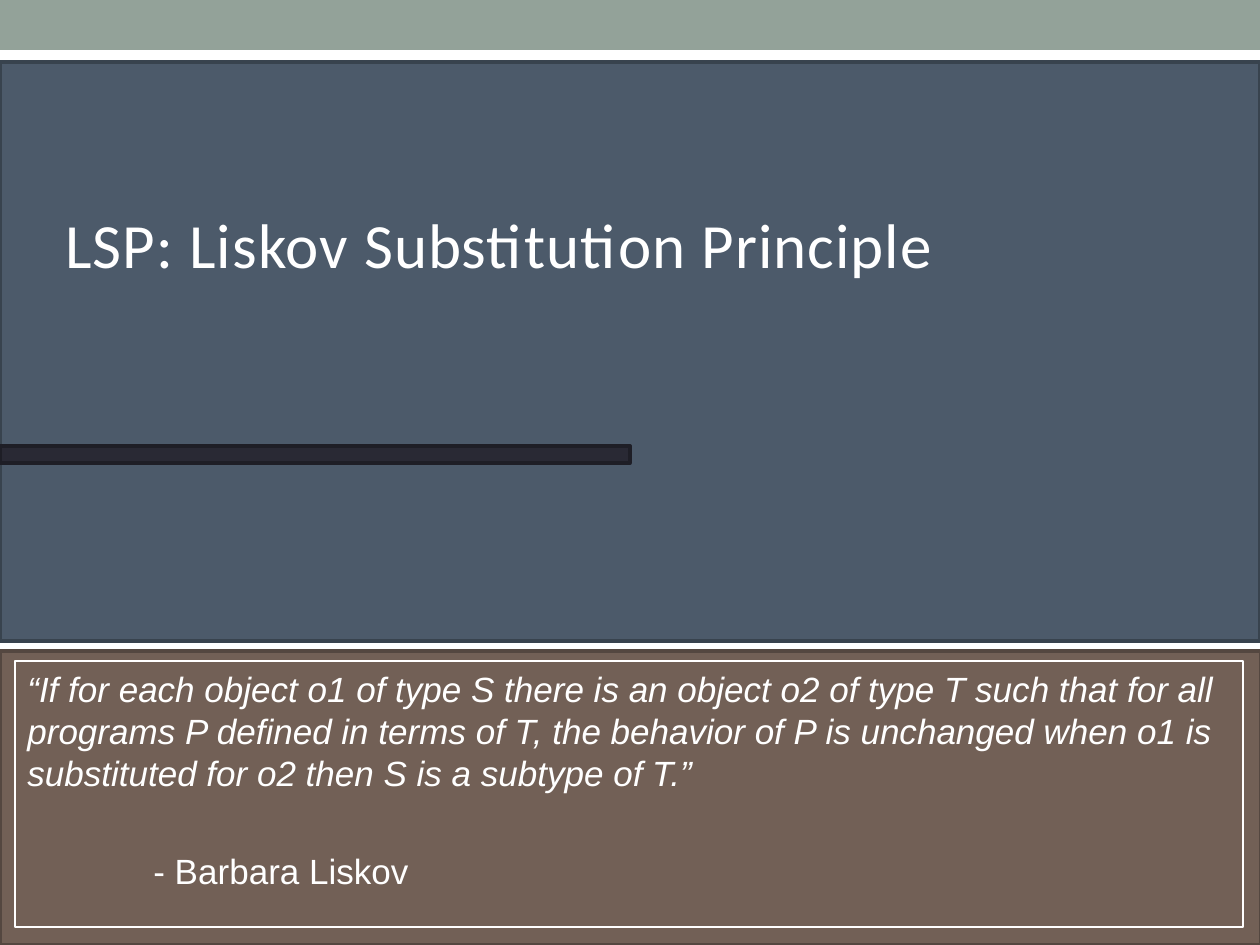
"""Build the Liskov Substitution Principle section slide."""
from dataclasses import dataclass

from pptx import Presentation
from pptx.dml.color import RGBColor
from pptx.enum.shapes import MSO_SHAPE
from pptx.enum.text import MSO_ANCHOR, MSO_AUTO_SIZE, PP_ALIGN
from pptx.util import Emu, Pt


@dataclass(frozen=True)
class Theme:
    white: str = "FFFFFF"
    sage: str = "93A299"
    slate: str = "4C5A6A"
    slate_edge: str = "38434E"
    brown: str = "726056"
    brown_edge: str = "544740"
    ink: str = "292934"
    ink_edge: str = "1E1E26"
    title_font: str = "Calibri"
    body_font: str = "Arial"
    title_size: float = 36
    body_size: float = 20
    edge_width: float = 2.08
    frame_width: float = 1


class SlideBuilder:
    def __init__(self, slide, theme):
        self.slide = slide
        self.theme = theme

    @staticmethod
    def px(length):
        return Emu(round(length * 914400 / 126))

    def box(self, *lengths):
        return [self.px(length) for length in lengths]

    def rectangle(self, bounds, fill=None, line=None, width=None):
        shape = self.slide.shapes.add_shape(MSO_SHAPE.RECTANGLE, *self.box(*bounds))
        shape.shadow.inherit = False
        if fill:
            shape.fill.solid()
            shape.fill.fore_color.rgb = RGBColor.from_string(fill)
        else:
            shape.fill.background()
        if line:
            shape.line.color.rgb = RGBColor.from_string(line)
            shape.line.width = Pt(width or self.theme.edge_width)
        else:
            shape.line.fill.background()

    def style(self, paragraph, font_name, size, italic=False):
        paragraph.alignment = PP_ALIGN.LEFT
        for run in paragraph.runs:
            run.font.name = font_name
            run.font.size = Pt(size)
            run.font.italic = italic
            run.font.color.rgb = RGBColor.from_string(self.theme.white)

    def title(self, bounds, text):
        title = self.slide.shapes.title
        title.left, title.top, title.width, title.height = self.box(*bounds)
        frame = title.text_frame
        frame.text = text
        frame.word_wrap = True
        frame.auto_size = MSO_AUTO_SIZE.SHAPE_TO_FIT_TEXT
        frame.vertical_anchor = MSO_ANCHOR.MIDDLE
        paragraph = frame.paragraphs[0]
        self.style(paragraph, self.theme.title_font, self.theme.title_size)
        paragraph.runs[0]._r.get_or_add_rPr().set("spc", "60")
        self.slide.shapes._spTree.append(title._element)

    def quotation(self, bounds, quote, author):
        frame = self.slide.shapes.add_textbox(*self.box(*bounds)).text_frame
        frame.word_wrap = True
        frame.text = quote
        self.style(frame.paragraphs[0], self.theme.body_font, self.theme.body_size, italic=True)
        attribution = frame.add_paragraph()
        attribution.text = author
        attribution.space_before = Pt(32)
        attribution._p.get_or_add_pPr().set("marL", str(self.px(126)))
        self.style(attribution, self.theme.body_font, self.theme.body_size)


def main():
    theme = Theme()
    presentation = Presentation()
    presentation.slide_width, presentation.slide_height = SlideBuilder.px(1260), SlideBuilder.px(945)
    builder = SlideBuilder(presentation.slides.add_slide(presentation.slide_layouts[5]), theme)
    quote_bounds = (15, 661, 1228, 266)

    builder.rectangle((0, 0, 1260, 50), theme.sage)
    builder.rectangle((0, 62, 1260, 579), theme.slate, theme.slate_edge)
    builder.rectangle((0, 651, 1261, 294), theme.brown, theme.brown_edge)
    builder.rectangle(quote_bounds, line=theme.white, width=theme.frame_width)
    builder.title((53, 199, 1187, 89), "LSP: Liskov Substitution Principle")
    builder.rectangle((0, 446, 630, 17), theme.ink, theme.ink_edge)
    builder.quotation(
        quote_bounds,
        "“If for each object o1 of type S there is an object o2 of type T such that for all "
        "programs P defined in terms of T, the behavior of P is unchanged when o1 is "
        "substituted for o2 then S is a subtype of T.”",
        "- Barbara Liskov",
    )
    presentation.save("out.pptx")


if __name__ == "__main__":
    main()
